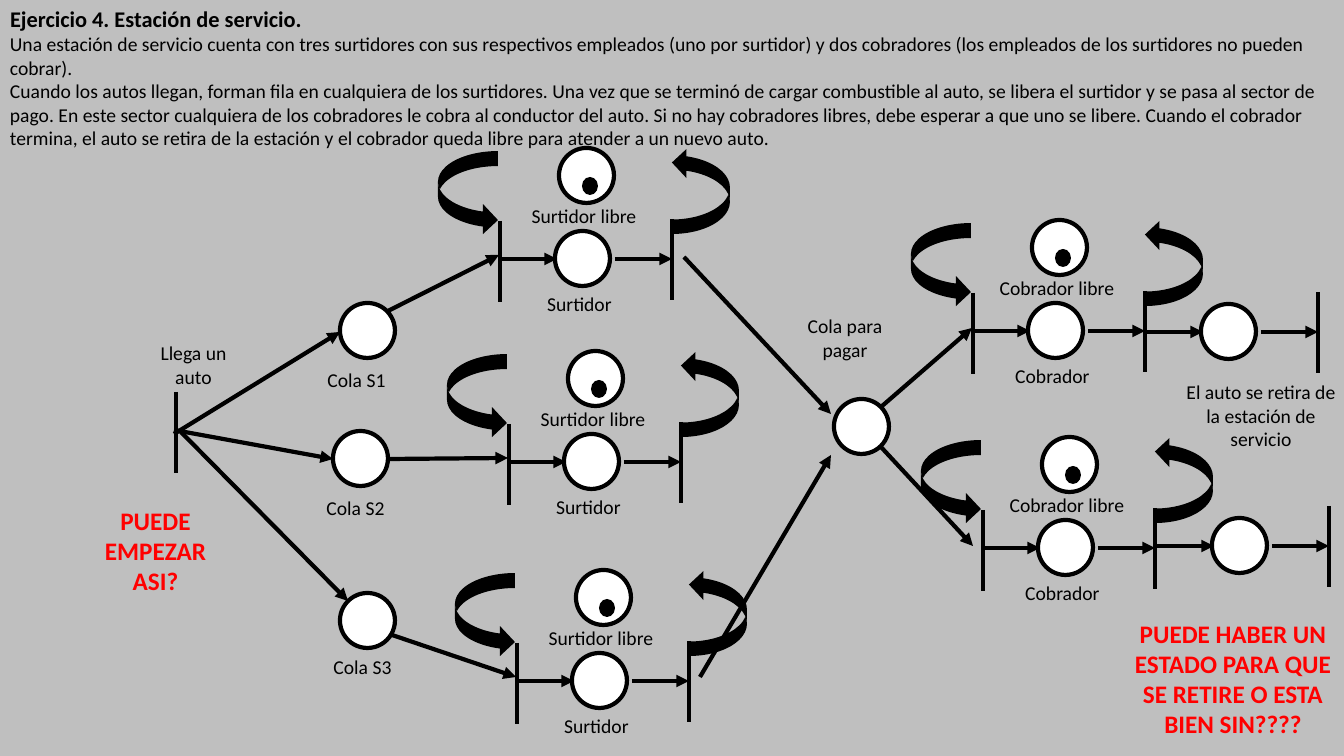
import dataclasses

import lxml.etree
import pptx
import pptx.dml.color
import pptx.enum.shapes
import pptx.enum.text
import pptx.oxml.ns
import pptx.util

EMU_PER_PIXEL = 914400 / 100.8


@dataclasses.dataclass(frozen=True)
class Theme:
    """Hold the colours, font and type sizes of the slide."""
    ink: str = "000000"
    place: str = "FFFFFF"
    doubt: str = "FF0000"
    background: str = "BFBFBF"
    font: str = "Calibri"
    heading_size: int = 16
    text_size: int = 14
    doubt_size: int = 18
    stroke: int = 3


THEME = Theme()
PLACE_SIZE = 55
BAR_HEIGHT = 81
STEP_LENGTH = 57
SECOND_STEP = 115
PATH_LENGTH = 172

HEADING = "Ejercicio 4. Estación de servicio."
STATEMENT = (
    "Una estación de servicio cuenta con tres surtidores con sus respectivos "
    "empleados (uno por surtidor) y dos cobradores (los empleados de los "
    "surtidores no pueden cobrar).",
    "Cuando los autos llegan, forman fila en cualquiera de los surtidores. Una "
    "vez que se terminó de cargar combustible al auto, se libera el surtidor y "
    "se pasa al sector de pago. En este sector cualquiera de los cobradores le "
    "cobra al conductor del auto. Si no hay cobradores libres, debe esperar a "
    "que uno se libere. Cuando el cobrador termina, el auto se retira de la "
    "estación y el cobrador queda libre para atender a un nuevo auto.",
)

STATIONS = (
    ("Surtidor", 500, 221),
    ("Surtidor", 517, 643),
    ("Surtidor", 509, 424),
    ("Cobrador", 973, 293),
    ("Cobrador", 983, 510),
)
EXITS = ((1146, 332), (1157, 546))
QUEUES = (
    ("Cola S1", 340, 303, 306, 363),
    ("Cola S2", 333, 431, 305, 491),
    ("Cola S3", 340, 593, 312, 650),
)
PAYMENT_QUEUE = (834, 399)
ARRIVAL_BAR = (176, 392)
ROUTES = (
    ((174, 434), (340, 332)),
    ((174, 430), (333, 459)),
    ((180, 431), (348, 601)),
    ((388, 311), (499, 255)),
    ((388, 459), (508, 458)),
    ((392, 635), (516, 677)),
    ((684, 257), (831, 414)),
    ((700, 677), (831, 455)),
    ((881, 407), (972, 328)),
    ((881, 447), (973, 546)),
)
NOTES = (
    ("Llega un auto", 145, 336, 97, 57),
    ("Cola para pagar", 782, 309, 126, 57),
    ("El auto se retira de la estación de servicio", 1175, 375, 172, 82),
)
DOUBTS = (
    ("PUEDE EMPEZAR ASI?", 84, 500, 143, 102),
    ("PUEDE HABER UN ESTADO PARA QUE SE RETIRE O ESTA BIEN SIN????",
     1116, 613, 234, 132),
)


def px(pixels):
    """Turn pixels into EMU."""
    return pptx.util.Emu(round(pixels * EMU_PER_PIXEL))


def rgb(colour):
    """Turn a hexadecimal string into a colour."""
    return pptx.dml.color.RGBColor.from_string(colour)


def style_paragraph(paragraph, size, colour, bold, alignment):
    """Set the font and alignment of one paragraph."""
    paragraph.alignment = alignment
    paragraph.font.name = THEME.font
    paragraph.font.size = pptx.util.Pt(size)
    paragraph.font.bold = bold
    paragraph.font.color.rgb = rgb(colour)


def add_text(slide, text, left, top, width, height, size=THEME.text_size,
             colour=THEME.ink, bold=False,
             alignment=pptx.enum.text.PP_ALIGN.CENTER):
    """Add a wrapped text box, one paragraph for each line of text."""
    box = slide.shapes.add_textbox(px(left), px(top), px(width), px(height))
    frame = box.text_frame
    frame.word_wrap = True
    frame.auto_size = pptx.enum.text.MSO_AUTO_SIZE.SHAPE_TO_FIT_TEXT
    frame.text = text
    for paragraph in frame.paragraphs:
        style_paragraph(paragraph, size, colour, bold, alignment)


def add_heading(slide):
    """Place the exercise heading in the title placeholder."""
    heading = slide.shapes.title
    heading.left, heading.top = px(0), px(0)
    heading.width, heading.height = px(1344), px(32)
    frame = heading.text_frame
    frame.auto_size = pptx.enum.text.MSO_AUTO_SIZE.NONE
    frame.vertical_anchor = pptx.enum.text.MSO_ANCHOR.TOP
    frame.text = HEADING
    style_paragraph(frame.paragraphs[0], THEME.heading_size, THEME.ink, True,
                    pptx.enum.text.PP_ALIGN.LEFT)


def add_solid(slide, preset, left, top, width, height, colour):
    """Add a filled preset shape without outline or shadow."""
    solid = slide.shapes.add_shape(
        preset, px(left), px(top), px(width), px(height))
    solid.shadow.inherit = False
    solid.fill.solid()
    solid.fill.fore_color.rgb = rgb(colour)
    solid.line.fill.background()
    return solid


def add_place(slide, left, top):
    """Add the outlined circle of a place."""
    place = add_solid(slide, pptx.enum.shapes.MSO_SHAPE.OVAL, left, top,
                      PLACE_SIZE, PLACE_SIZE, THEME.place)
    place.line.color.rgb = rgb(THEME.ink)
    place.line.width = pptx.util.Pt(THEME.stroke)


def add_loop(slide, left, top, width, height, flip):
    """Add a curved arrow turned a quarter and mirrored."""
    loop = add_solid(slide, pptx.enum.shapes.MSO_SHAPE.CURVED_DOWN_ARROW,
                     left, top, width, height, THEME.ink)
    loop.rotation = 90
    loop.element.spPr.find(pptx.oxml.ns.qn("a:xfrm")).set(flip, "1")


def add_line(slide, start, end, arrow=True):
    """Add a straight line, with an arrowhead at its end if wanted."""
    line = slide.shapes.add_connector(
        pptx.enum.shapes.MSO_CONNECTOR.STRAIGHT,
        px(start[0]), px(start[1]), px(end[0]), px(end[1]))
    line.line.color.rgb = rgb(THEME.ink)
    line.line.width = pptx.util.Pt(THEME.stroke)
    qn = pptx.oxml.ns.qn
    properties = line.element.spPr
    if arrow:
        outline = properties.find(qn("a:ln"))
        lxml.etree.SubElement(outline, qn("a:tailEnd"), type="triangle")
    lxml.etree.SubElement(properties, qn("a:effectLst"))


def add_bar(slide, x, top):
    """Add the vertical bar of a transition."""
    add_line(slide, (x, top), (x, top + BAR_HEIGHT), arrow=False)


def add_path(slide, x, y):
    """Add arrow, place, arrow and closing transition from a start point."""
    add_place(slide, x + 55, y - 28)
    for step in (0, SECOND_STEP):
        add_line(slide, (x + step, y), (x + step + STEP_LENGTH, y))
    add_bar(slide, x + PATH_LENGTH, y - 40)


def add_station(slide, worker, x, y):
    """Add a worker's service path with its free place and token."""
    add_bar(slide, x, y)
    add_loop(slide, x - 74, y - 58, 84, 60, "flipV")
    add_loop(slide, x + 158, y - 59, 86, 58, "flipH")
    add_place(slide, x + 59, y - 73)
    add_path(slide, x, y + 38)
    add_solid(slide, pptx.enum.shapes.MSO_SHAPE.OVAL,
              x + 82, y - 44, 16, 18, THEME.ink)
    add_text(slide, f"{worker} libre", x + 4, y - 22, 160, 34)
    add_text(slide, worker, x + 27, y + 66, 105, 34)


def main():
    """Build the service station slide and save it."""
    deck = pptx.Presentation()
    deck.slide_width, deck.slide_height = px(1344), px(756)
    slide = deck.slides.add_slide(deck.slide_layouts[5])
    slide.background.fill.solid()
    slide.background.fill.fore_color.rgb = rgb(THEME.background)

    add_heading(slide)
    add_text(slide, "\n".join(STATEMENT), 0, 27, 1344, 129,
             alignment=pptx.enum.text.PP_ALIGN.LEFT)
    add_bar(slide, *ARRIVAL_BAR)
    for station in STATIONS:
        add_station(slide, *station)
    for leaving in EXITS:
        add_path(slide, *leaving)
    add_place(slide, *PAYMENT_QUEUE)
    for queue, left, top, label_left, label_top in QUEUES:
        add_place(slide, left, top)
        add_text(slide, queue, label_left - 2, label_top, 105, 34)
    for start, end in ROUTES:
        add_line(slide, start, end)
    for note in NOTES:
        add_text(slide, *note)
    for doubt in DOUBTS:
        add_text(slide, *doubt, THEME.doubt_size, THEME.doubt, True)
    deck.save("out.pptx")


main()
